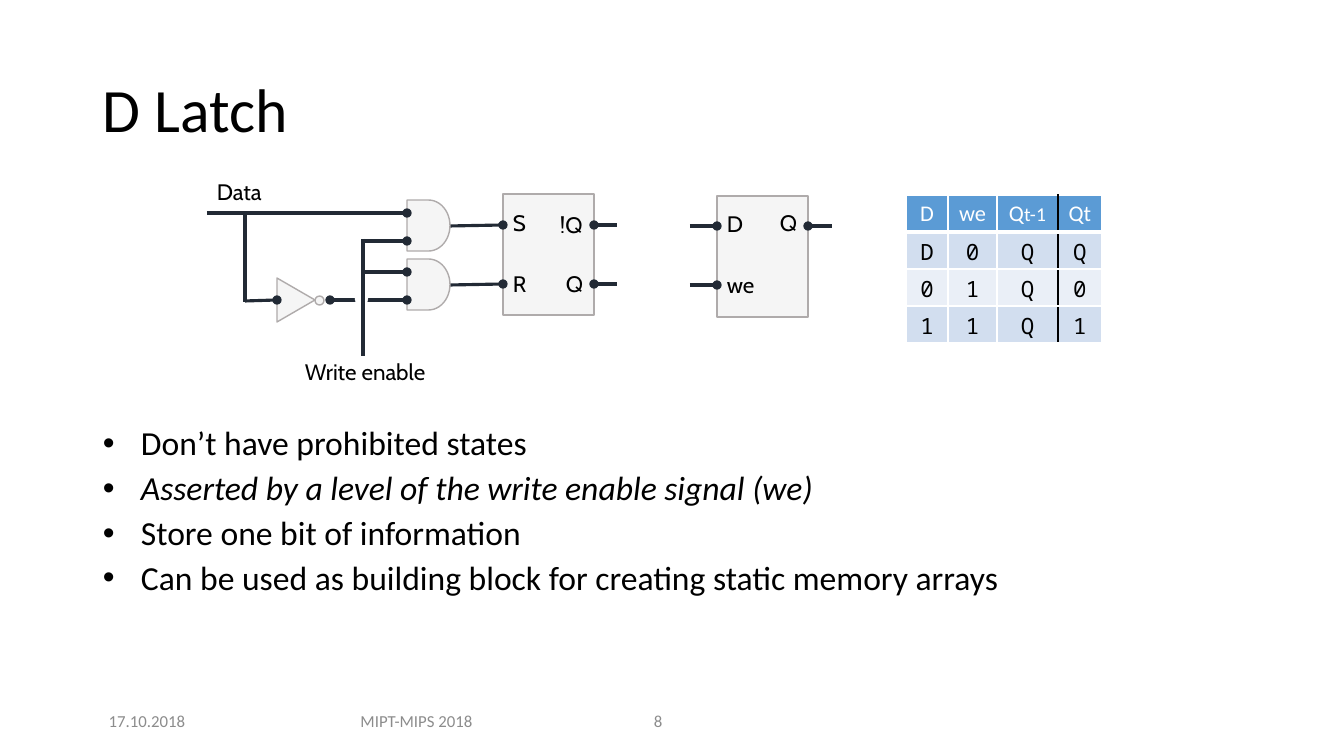
from lxml import etree
from pptx import Presentation
from pptx.dml.color import RGBColor
from pptx.enum.shapes import MSO_CONNECTOR as LINE, MSO_SHAPE as SHAPE
from pptx.enum.text import MSO_ANCHOR as ANCHOR, PP_ALIGN as ALIGN
from pptx.oxml.ns import qn
from pptx.util import Pt

BLACK = RGBColor(0x00, 0x00, 0x00)
WHITE = RGBColor(0xFF, 0xFF, 0xFF)
GREY = RGBColor(0x8C, 0x8C, 0x8C)
WIRE = RGBColor(0x22, 0x2A, 0x35)
BLOCK = RGBColor(0xF5, 0xF5, 0xF5)
OUTLINE = RGBColor(0xAF, 0xAB, 0xAB)
HEADER = RGBColor(0x5B, 0x9B, 0xD5)
BANDS = RGBColor(0xD2, 0xDE, 0xEF), RGBColor(0xEA, 0xEF, 0xF7)


def px(n):
    return round(n * 914400 / 100.8)


class Board:
    body_font, label_font, value_font = "Calibri", "Cabin", "Noto Sans Mono"

    def __init__(self, slide):
        self.slide = slide

    def style(self, paragraph, size, color=BLACK, name=body_font, align=ALIGN.LEFT):
        paragraph.alignment = align
        font = paragraph.font
        font.size, font.name, font.color.rgb = Pt(size), name, color

    def text(self, box, words, size, color=BLACK, align=ALIGN.LEFT):
        frame = self.slide.shapes.add_textbox(*map(px, box)).text_frame
        frame.word_wrap, frame.vertical_anchor = True, ANCHOR.MIDDLE
        paragraph = frame.paragraphs[0]
        paragraph.text = words
        self.style(paragraph, size, color, align=align)
        return paragraph

    def label(self, left, top, width, words):
        box = self.slide.shapes.add_textbox(px(left), px(top), px(width), px(37))
        box.text_frame.word_wrap = False
        paragraph = box.text_frame.paragraphs[0]
        paragraph.text = words
        self.style(paragraph, 16, name=self.label_font)

    def bullets(self, box, items):
        frame = self.slide.shapes.add_textbox(*map(px, box)).text_frame
        frame.word_wrap = True
        for i, (words, italic) in enumerate(items):
            paragraph = frame.add_paragraph() if i else frame.paragraphs[0]
            paragraph.text = words
            props = paragraph._p.get_or_add_pPr()
            props.set("marL", str(px(38)))
            props.set("indent", str(px(-38)))
            etree.SubElement(props, qn("a:buFont")).set("typeface", "Arial")
            etree.SubElement(props, qn("a:buChar")).set("char", "•")
            paragraph.line_spacing = 0.9
            paragraph.space_before = Pt(6 if i else 0)
            self.style(paragraph, 24)
            paragraph.font.italic = italic

    def shape(self, kind, box, fill=BLOCK, line=OUTLINE, weight=1, turn=0):
        shape = self.slide.shapes.add_shape(kind, *map(px, box))
        shape.shadow.inherit = False
        shape.rotation = turn
        shape.fill.solid()
        shape.fill.fore_color.rgb = fill
        shape.line.color.rgb, shape.line.width = line, Pt(weight)

    def wire(self, x1, y1, x2, y2, dots=("tailEnd",)):
        wire = self.slide.shapes.add_connector(LINE.STRAIGHT, *map(px, (x1, y1, x2, y2)))
        wire.line.color.rgb, wire.line.width = WIRE, Pt(2.25)
        props = wire.element.spPr
        for end in dots:
            etree.SubElement(props.find(qn("a:ln")), qn("a:" + end)).set("type", "oval")
        etree.SubElement(props, qn("a:effectLst"))

    def borders(self, cell, sides):
        for side, (color, weight) in sides.items():
            line = etree.SubElement(cell._tc.get_or_add_tcPr(), qn("a:ln" + side))
            line.set("w", str(Pt(weight)))
            fill = etree.SubElement(line, qn("a:solidFill"))
            etree.SubElement(fill, qn("a:srgbClr")).set("val", str(color))

    def truth_table(self, left, top, widths, row_height, rows):
        table = self.slide.shapes.add_table(
            len(rows), len(widths), px(left), px(top),
            px(sum(widths)), px(row_height * len(rows))).table
        table.first_row = table.horz_banding = False
        for column, width in zip(table.columns, widths):
            column.width = px(width)
        last = len(widths) - 1
        for r, row in enumerate(rows):
            table.rows[r].height = px(row_height)
            for c, words in enumerate(row):
                cell = table.cell(r, c)
                # A black rule sets the result column apart
                self.borders(cell, {
                    "L": (BLACK if c == last else WHITE, 1),
                    "R": (BLACK if c == last - 1 else WHITE, 1),
                    "T": (WHITE, 3 if r == 1 else 1),
                    "B": (WHITE, 3 if r == 0 else 1)})
                cell.fill.solid()
                cell.fill.fore_color.rgb = BANDS[(r - 1) % 2] if r else HEADER
                paragraph = cell.text_frame.paragraphs[0]
                paragraph.text = words
                self.style(paragraph, 16, BLACK if r else WHITE,
                           self.value_font if r else self.body_font, ALIGN.CENTER)
        return table


def main():
    deck = Presentation()
    deck.slide_width, deck.slide_height = px(1344), px(756)
    board = Board(deck.slides.add_slide(deck.slide_layouts[6]))

    # Title and key points
    board.text((93, 40, 1159, 146), "D Latch", 44).line_spacing = 0.9
    board.bullets((93, 422, 1159, 234), [
        ("Don’t have prohibited states", False),
        ("Asserted by a level of the write enable signal (we)", True),
        ("Store one bit of information", False),
        ("Can be used as building block for creating static memory arrays", False)])

    # Footer
    board.text((93, 701, 108, 40), "17.10.2018", 12, GREY, ALIGN.CENTER)
    board.text((337, 701, 159, 40), "MIPT-MIPS 2018", 12, GREY, ALIGN.CENTER)
    board.text((644, 701, 80, 40), "8", 12, GREY)

    # SR latch with an AND gate in front of each input
    board.shape(SHAPE.RECTANGLE, (503, 194, 91, 121))
    for y in (225, 284):
        board.wire(450, y + 1, 503, y)
        board.wire(617, y, 594, y)
        board.shape(SHAPE.FLOWCHART_DELAY, (407, y - 25, 43, 51))
    board.label(503, 204, 35, "S")
    board.label(503, 265, 36, "R")
    board.label(550, 206, 44, "!Q")
    board.label(556, 265, 38, "Q")

    # Inverter
    board.shape(SHAPE.ISOSCELES_TRIANGLE, (274, 281, 44, 38), turn=90)
    board.shape(SHAPE.OVAL, (315, 296, 9, 9))
    board.wire(330, 300, 407, 300, ("headEnd", "tailEnd"))

    # Write enable line, passing over the inverter output
    for y in (272, 241):
        board.wire(362, y, 407, y)
    board.shape(SHAPE.OVAL, (355, 293, 13, 12), WHITE, WHITE, 0.25)
    board.wire(363, 239, 363, 356, ())
    board.label(295, 353, 147, "Write enable")

    # Data line
    board.wire(207, 213, 407, 213)
    board.wire(245, 301, 277, 300)
    board.wire(245, 213, 245, 302, ())
    board.label(207, 173, 68, "Data")

    # D latch symbol
    board.shape(SHAPE.RECTANGLE, (717, 196, 91, 121))
    for y in (226, 285):
        board.wire(690, y, 717, y)
    board.wire(832, 226, 808, 226)
    board.label(717, 205, 36, "D")
    board.label(717, 266, 49, "we")
    board.label(770, 204, 38, "Q")

    # Truth table
    states = board.truth_table(906, 195, (42, 49, 61, 44), 37, [
        ("D", "we", "Q", "Qt"), "D0QQ", "01Q0", "11Q1"])
    previous = states.cell(0, 2).text_frame.paragraphs[0].add_run()
    previous.text = "t-1"
    previous.font.size = Pt(14)

    deck.save("out.pptx")


if __name__ == "__main__":
    main()
